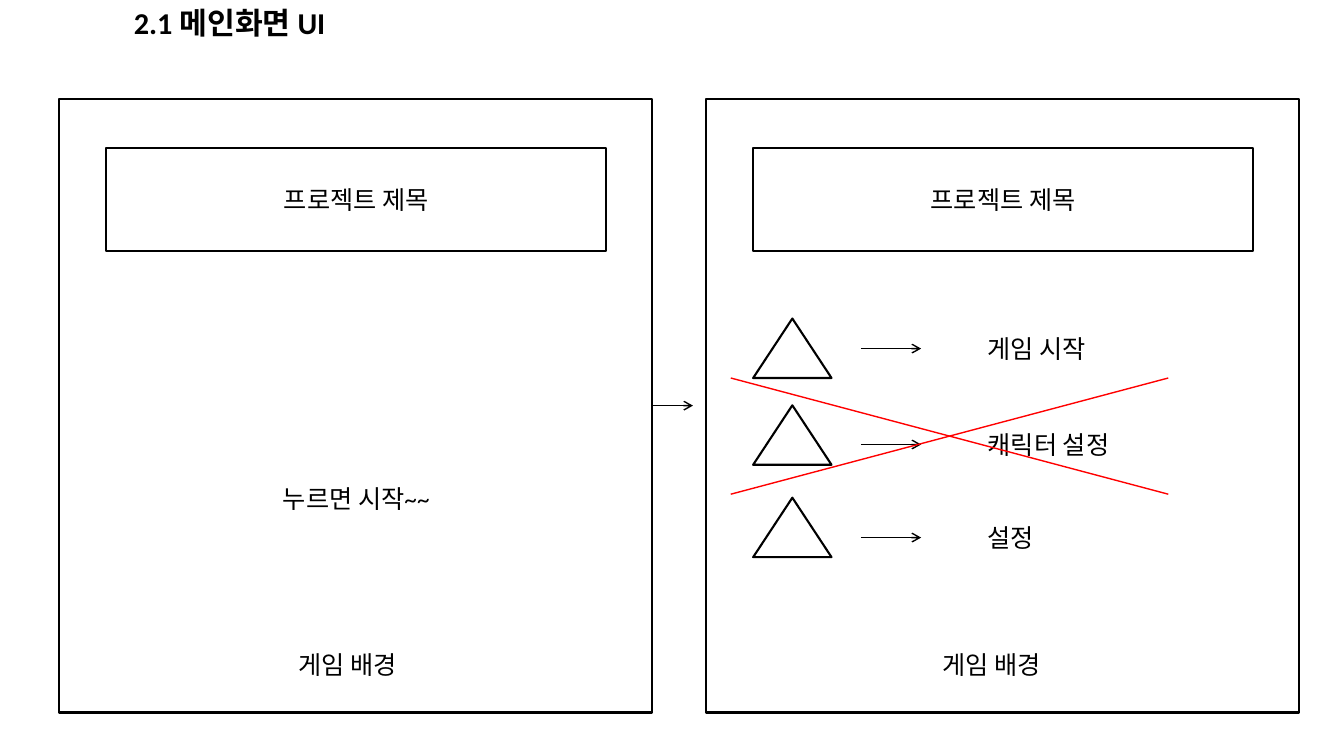
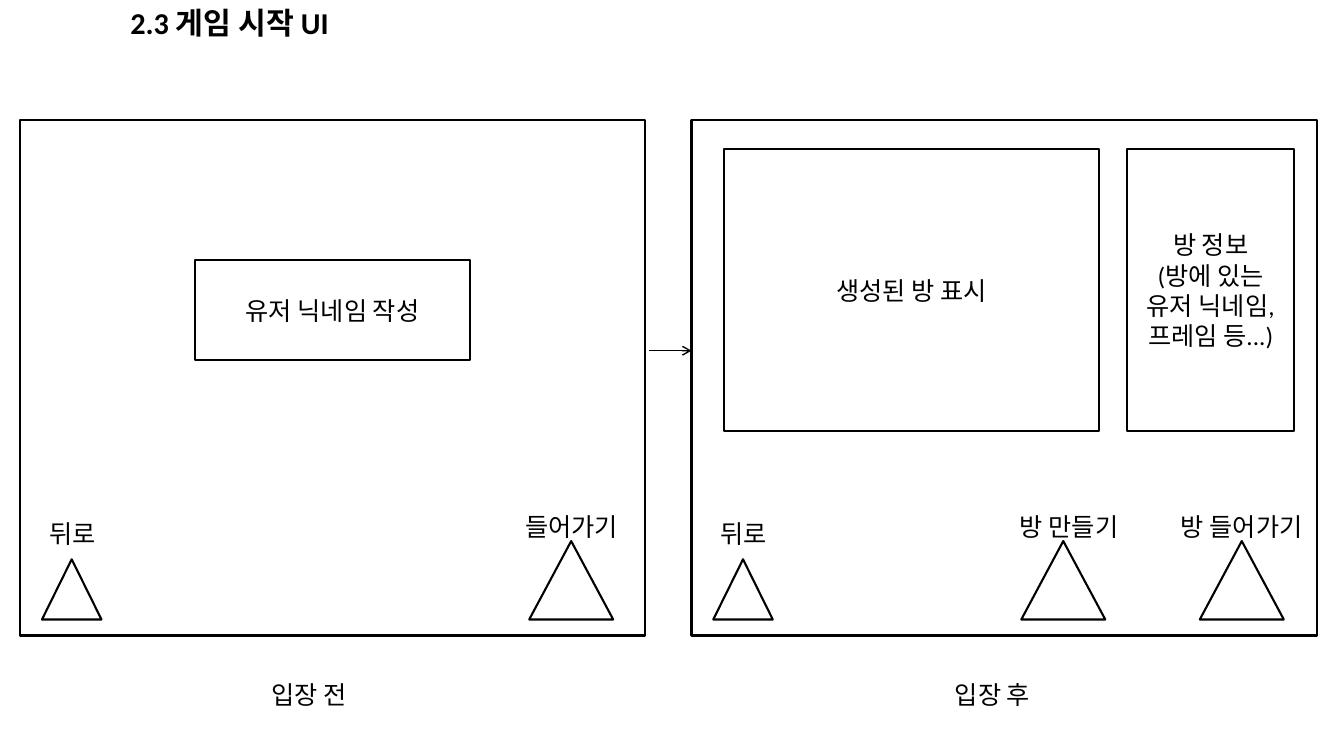
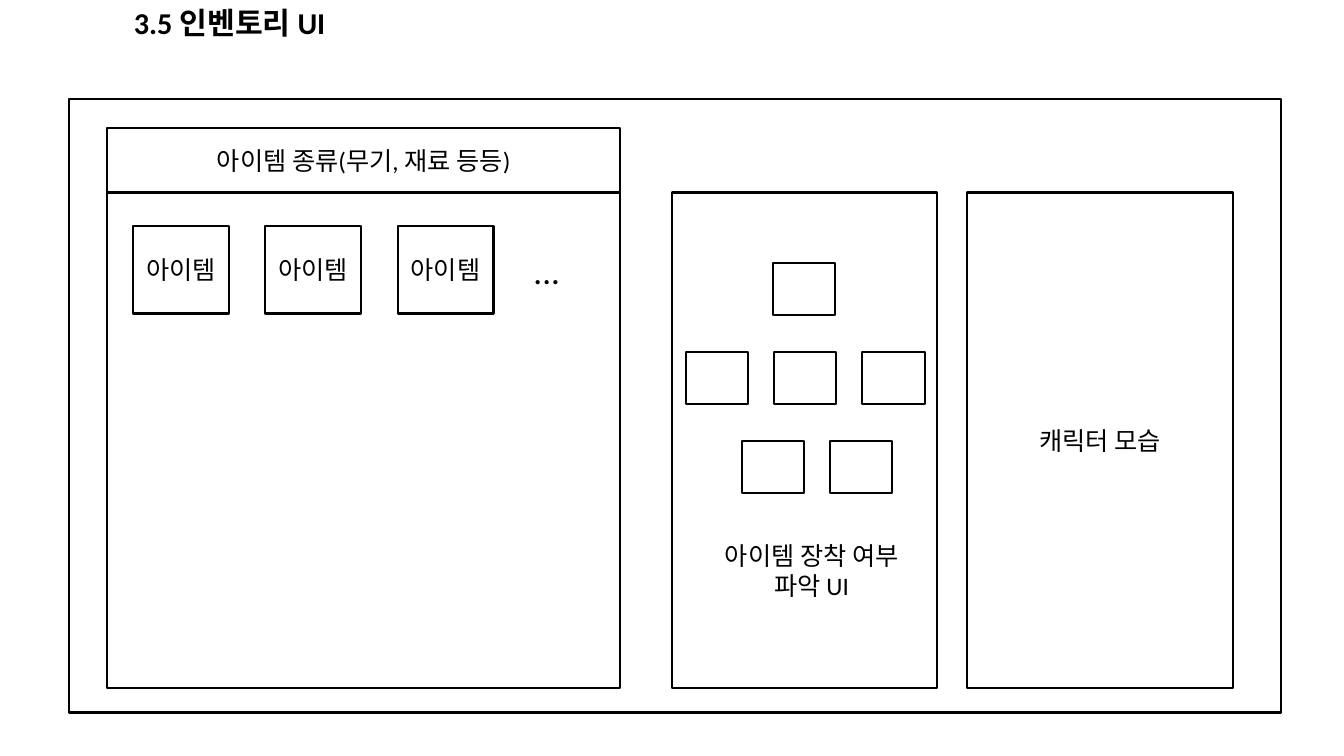
import dataclasses

import lxml.etree
import pptx
import pptx.dml.color
import pptx.enum.shapes
import pptx.enum.text
import pptx.oxml.ns
import pptx.util

Pt = pptx.util.Pt
qn = pptx.oxml.ns.qn
SHAPE = pptx.enum.shapes.MSO_SHAPE
ALIGN = pptx.enum.text.PP_ALIGN
ANCHOR = pptx.enum.text.MSO_ANCHOR
AUTO_SIZE = pptx.enum.text.MSO_AUTO_SIZE


@dataclasses.dataclass(frozen=True)
class Theme:
    ink: pptx.dml.color.RGBColor = pptx.dml.color.RGBColor(0, 0, 0)
    strike: pptx.dml.color.RGBColor = pptx.dml.color.RGBColor(255, 0, 0)
    font: str = "Calibri"
    title_size: float = 21.6
    body_size: float = 18
    dots_size: float = 25
    outline: float = 1.5
    thin: float = 1


THEME = Theme()
LEFT, CENTER = ALIGN.LEFT, ALIGN.CENTER


# Element builders: all positions and sizes are in points
def write(frame, text, size=THEME.body_size, align=CENTER, bold=False):
    frame.text = text
    frame.word_wrap = True
    for paragraph in frame.paragraphs:
        paragraph.alignment = align
        paragraph.font.name = THEME.font
        paragraph.font.size = Pt(size)
        paragraph.font.bold = bold
        paragraph.font.color.rgb = THEME.ink


def add_slide(deck, heading):
    slide = deck.slides.add_slide(deck.slide_layouts[5])
    title = slide.shapes.title
    title.left, title.top, title.width, title.height = Pt(0), Pt(0), Pt(328), Pt(32)
    write(title.text_frame, heading, THEME.title_size, bold=True)
    title.text_frame.auto_size = AUTO_SIZE.NONE
    title.text_frame.vertical_anchor = ANCHOR.MIDDLE
    return slide


def add_outline(slide, kind, x, y, width, height):
    outline = slide.shapes.add_shape(kind, Pt(x), Pt(y), Pt(width), Pt(height))
    outline.shadow.inherit = False
    outline.fill.background()
    outline.line.color.rgb = THEME.ink
    outline.line.width = Pt(THEME.outline)
    return outline


def add_box(slide, x, y, width, height, text=""):
    box = add_outline(slide, SHAPE.RECTANGLE, x, y, width, height)
    if text:
        write(box.text_frame, text)
        box.text_frame.vertical_anchor = ANCHOR.MIDDLE
    return box


def add_button(slide, x, y, width, height):
    return add_outline(slide, SHAPE.ISOSCELES_TRIANGLE, x, y, width, height)


def add_label(slide, x, y, width, text, align=LEFT, size=THEME.body_size, height=29):
    label = slide.shapes.add_textbox(Pt(x), Pt(y), Pt(width), Pt(height))
    write(label.text_frame, text, size, align)
    label.text_frame.auto_size = AUTO_SIZE.SHAPE_TO_FIT_TEXT


def add_line(slide, x1, y1, x2, y2, color=THEME.ink, arrow=False):
    line = slide.shapes.add_connector(
        pptx.enum.shapes.MSO_CONNECTOR.STRAIGHT, Pt(x1), Pt(y1), Pt(x2), Pt(y2))
    line.line.color.rgb = color
    line.line.width = Pt(THEME.thin)
    properties = line.element.spPr
    if arrow:
        lxml.etree.SubElement(properties.find(qn("a:ln")), qn("a:tailEnd"), type="arrow")
    lxml.etree.SubElement(properties, qn("a:effectLst"))
    return line


# Slides
def build_main_screen(deck):
    slide = add_slide(deck, "2.1 메인화면 UI")
    start_x, menu_x, top, width, height = 42, 504, 70.5, 424, 438.5
    start_screen, _ = [add_box(slide, x, top, width, height) for x in (start_x, menu_x)]
    middle = top + height / 2
    to_menu = add_line(slide, start_x + width, middle, 495, middle, arrow=True)
    to_menu.begin_connect(start_screen, 3)

    for x, background_x in ((start_x, 206), (menu_x, 666)):
        add_box(slide, x + 34, 106, 357, 73.5, "프로젝트 제목")
        add_label(slide, background_x, 460, 105, "게임 배경")
    add_label(slide, 103.5, 341.5, 302, "누르면 시작~~", CENTER)

    # Menu entries: button, arrow, meaning
    entries = ((227.5, 249, "게임 시작"), (289.5, 317.5, "캐릭터 설정"), (355.5, 384, "설정"))
    for button_y, arrow_y, meaning in entries:
        add_button(slide, menu_x + 34, button_y, 56, 42.5)
        add_line(slide, 615, arrow_y, 658, arrow_y, arrow=True)
        add_label(slide, 698.5, arrow_y - 14.5, 144, meaning)

    # Cross over the dropped entry
    for y1, y2 in ((353, 270), (270, 353)):
        add_line(slide, 522, y1, 834.5, y2, THEME.strike)


def build_game_start(deck):
    slide = add_slide(deck, "2.3 게임 시작 UI")
    before_x, after_x = 14.5, 494
    for x, caption_x, caption in ((before_x, 145, "입장 전"), (after_x, 633, "입장 후")):
        add_box(slide, x, 85.5, 446.5, 368.5)
        add_button(slide, x + 15.5, 399.5, 42.5, 43)
        add_label(slide, x + 13.5, 367, 52, "뒤로")
        add_label(slide, caption_x, 481.5, 152, caption, CENTER)
    add_line(slide, 463.5, 250.5, after_x, 250.5, arrow=True)

    # Content of the two screens
    add_box(slide, 139.5, 186, 196, 71, "유저 닉네임 작성")
    add_box(slide, 517, 106.5, 268, 201.5, "생성된 방 표시")
    add_box(slide, 805, 106.5, 119.5, 201.5, "방 정보\n(방에 있는 유저 닉네임, 프레임 등...)")

    # Action buttons
    actions = ((378, 368, 96, "들어가기"), (729.5, 721.5, 113, "방 만들기"),
               (857, 836.5, 113, "방 들어가기"))
    for button_x, label_x, label_width, action in actions:
        add_button(slide, button_x, 386.5, 60, 56)
        add_label(slide, label_x, 361.5, label_width, action)


def build_inventory(deck):
    slide = add_slide(deck, "3.5 인벤토리 UI")
    add_box(slide, 49.5, 71, 865.5, 438)
    for x, width, text in ((76.5, 366.5, ""), (480, 189.5, ""), (691, 189.5, "캐릭터 모습")):
        add_box(slide, x, 137.5, width, 354, text)

    # Item list
    add_box(slide, 76.5, 91.5, 366.5, 46, "아이템 종류(무기, 재료 등등)")
    for column in range(3):
        add_box(slide, 95 + 94.5 * column, 161.5, 68.5, 62.5, "아이템")
    add_label(slide, 353, 175, 75, "...", CENTER, THEME.dots_size, 37)

    # Equipment slots: first slot and count of each row
    for row, (first_x, count) in enumerate(((552, 1), (490, 3), (530, 2))):
        for column in range(count):
            add_box(slide, first_x + 63 * column, 188 + 63.5 * row, 44.5, 37)
    add_label(slide, 499.5, 382.5, 160.5, "아이템 장착 여부 파악 UI", CENTER, height=50.5)


def main():
    deck = pptx.Presentation()
    deck.slide_width, deck.slide_height = Pt(960), Pt(540)
    build_main_screen(deck)
    build_game_start(deck)
    build_inventory(deck)
    deck.save("out.pptx")


if __name__ == "__main__":
    main()
